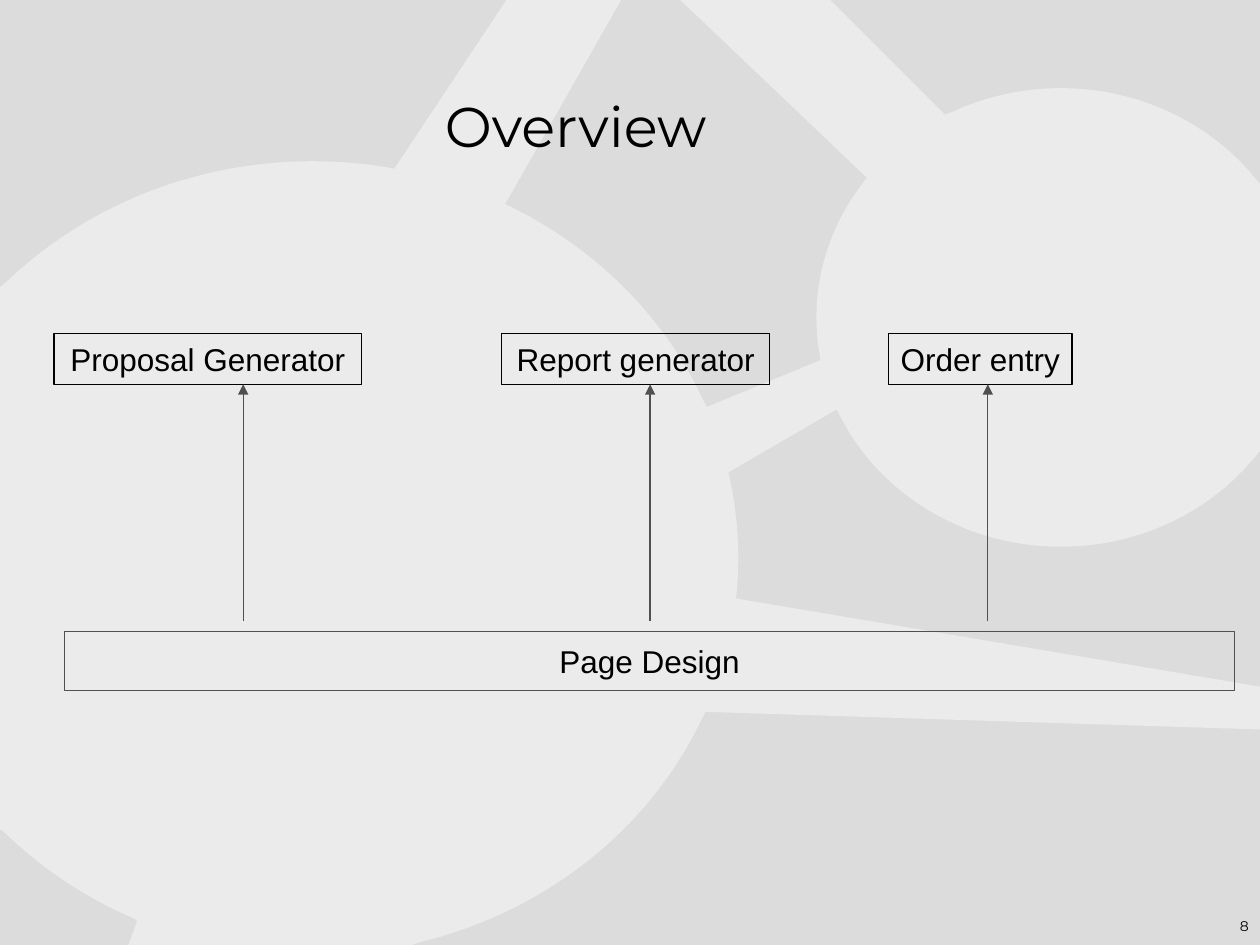
from dataclasses import dataclass
from math import atan2, cos, pi, sin

from lxml.etree import SubElement
from pptx import Presentation
from pptx.dml.color import RGBColor
from pptx.enum.shapes import MSO_CONNECTOR, MSO_SHAPE
from pptx.enum.text import MSO_ANCHOR, MSO_AUTO_SIZE, PP_ALIGN
from pptx.oxml.ns import qn
from pptx.util import Inches, Pt


@dataclass(frozen=True)
class Theme:
    backdrop: RGBColor = RGBColor(0xDC, 0xDC, 0xDC)
    network: RGBColor = RGBColor(0xEB, 0xEB, 0xEB)
    ink: RGBColor = RGBColor(0, 0, 0)
    gray: RGBColor = RGBColor(0x50, 0x50, 0x50)
    heading_font: str = "Montserrat"
    body_font: str = "Arial"
    title_size: int = 32
    label_size: int = 18
    number_size: int = 8
    line_width: float = 0.75


THEME = Theme()
SLIDE_BOX = (0, 0, 10, 7.5)
LARGE_NODE = (2.48, 4.43, 3.38, 3.15)
SMALL_NODE = (8.42, 2.52, 1.94, 1.82)
NETWORK = [
    (LARGE_NODE, (0, 2.28), (3.13, 1.34)),
    (None, (4.02, 0), (4.93, 0)),
    (LARGE_NODE, (4.01, 1.62), (5.61, 3.23)),
    (SMALL_NODE, (6.51, 2.86), (6.88, 1.41)),
    (None, (5.4, 0), (6.59, 0)),
    (SMALL_NODE, (7.5, 0.91), (10, 1.46)),
    (SMALL_NODE, (10, 3.58), (6.64, 3.25)),
    (LARGE_NODE, (5.78, 3.75), (5.84, 4.75)),
    (None, (10, 5.45), (10, 5.79)),
    (LARGE_NODE, (5.6, 5.65), (3.27, 7.5)),
    (None, (3.27, 7.5), (1.02, 7.5)),
    (LARGE_NODE, (1.09, 7.31), (0, 6.58)),
]
APPLICATIONS = [
    ("Proposal Generator", 0.43, 2.44, 1.93),
    ("Report generator", 3.98, 2.13, 5.16),
    ("Order entry", 7.05, 1.46, 7.84),
]


def apply(obj, values):
    for name, value in values.items():
        setattr(obj, name, value)


def arc(node, start, end, steps=40):
    cx, cy, rx, ry = node
    first, last = (atan2((y - cy) / ry, (x - cx) / rx) for x, y in (start, end))
    sweep = (last - first) % (2 * pi)
    angles = [first + sweep * i / steps for i in range(1, steps)]
    return [start, *((cx + rx * cos(a), cy + ry * sin(a)) for a in angles), end]


def add_backdrop(slide, box):
    left, top, _, _ = box
    fill = slide.background.fill
    fill.solid()
    fill.fore_color.rgb = THEME.backdrop
    points = []
    for node, start, end in NETWORK:
        points += arc(node, start, end) if node else [start, end]
    points = [(Inches(left + x), Inches(top + y)) for x, y in points]
    builder = slide.shapes.build_freeform(*points[0])
    builder.add_line_segments(points[1:], close=True)
    s = builder.convert_to_shape()
    s.shadow.inherit = False
    s.fill.solid()
    s.fill.fore_color.rgb = THEME.network
    s.line.fill.background()


def write(s, text, font, size, frame, align=PP_ALIGN.CENTER):
    tf = s.text_frame
    apply(tf, frame)
    p = tf.paragraphs[0]
    p.alignment = align
    r = p.add_run()
    r.text = text
    apply(r.font, {"name": font, "size": Pt(size)})
    r.font.color.rgb = THEME.ink


def add_box(slide, box, text, color):
    s = slide.shapes.add_shape(MSO_SHAPE.RECTANGLE, *map(Inches, box))
    s.shadow.inherit = False
    s.fill.background()
    s.line.color.rgb = color
    s.line.width = Pt(THEME.line_width)
    write(s, text, THEME.body_font, THEME.label_size,
          {"word_wrap": False, "vertical_anchor": MSO_ANCHOR.MIDDLE,
           "margin_left": Inches(0.05), "margin_right": Inches(0.05)})


def add_arrow(slide, x, bottom, top):
    ends = map(Inches, (x, bottom, x, top))
    s = slide.shapes.add_connector(MSO_CONNECTOR.STRAIGHT, *ends)
    s.line.color.rgb = THEME.gray
    s.line.width = Pt(THEME.line_width)
    line = s._element.spPr.find(qn("a:ln"))
    SubElement(line, qn("a:tailEnd"), type="triangle")
    SubElement(s._element.spPr, qn("a:effectLst"))


def add_diagram(slide, box):
    left, top, width, height = box
    box_height, base_height = 0.4, 0.47
    base_top = top + height - base_height
    add_box(slide, (left + 0.08, base_top, width - 0.08, base_height),
            "Page Design", THEME.gray)
    for text, x, w, arrow_x in APPLICATIONS:
        add_box(slide, (x, top, w, box_height), text, THEME.ink)
        add_arrow(slide, arrow_x, base_top - 0.08, top + box_height)


def add_title(slide, box):
    s = slide.shapes.add_textbox(*map(Inches, box))
    write(s, "Overview", THEME.heading_font, THEME.title_size,
          {"word_wrap": True, "auto_size": MSO_AUTO_SIZE.SHAPE_TO_FIT_TEXT})


def add_slide_number(slide, box):
    s = slide.shapes.add_textbox(*map(Inches, box))
    margins = {f"margin_{side}": 0 for side in ("left", "top", "right", "bottom")}
    write(s, "8", THEME.heading_font, THEME.number_size,
          {"word_wrap": True, **margins}, PP_ALIGN.LEFT)


def main():
    prs = Presentation()
    apply(prs, {"slide_width": Inches(10), "slide_height": Inches(7.5)})
    slide = prs.slides.add_slide(prs.slide_layouts[6])
    add_backdrop(slide, SLIDE_BOX)
    add_diagram(slide, (0.43, 2.65, 9.37, 2.83))
    add_title(slide, (2.13, 0.68, 4.88, 0.64))
    add_slide_number(slide, (9.84, 7.28, 0.16, 0.22))
    prs.save("out.pptx")


if __name__ == "__main__":
    main()
